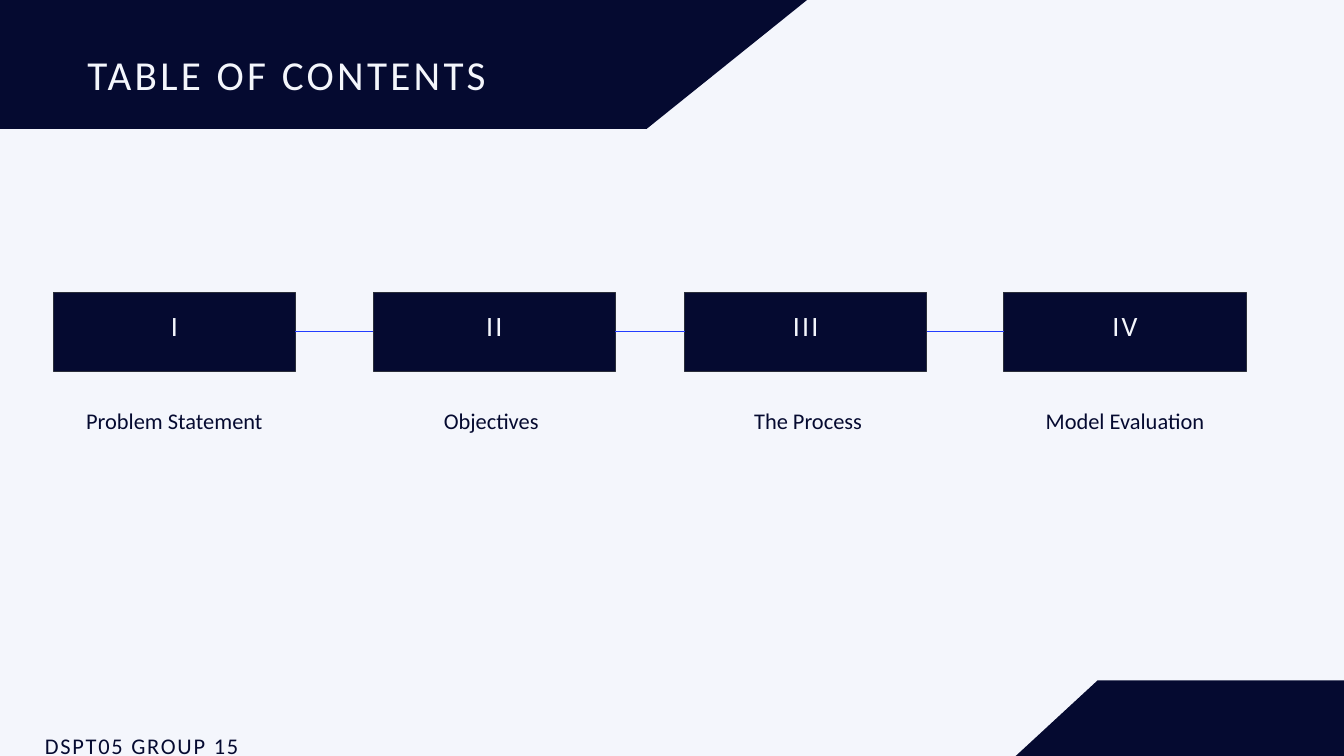
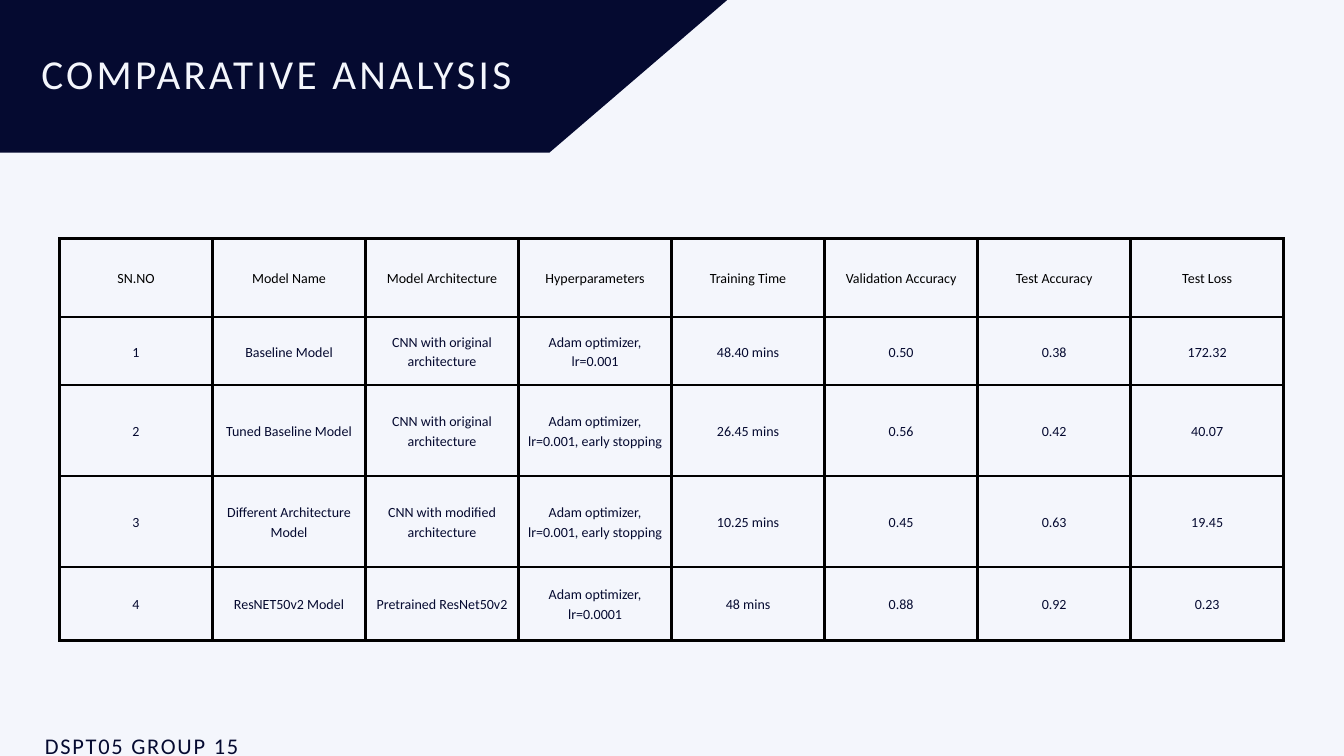
from lxml import etree
from pptx import Presentation
from pptx.dml.color import RGBColor
from pptx.enum.shapes import MSO_CONNECTOR, MSO_SHAPE
from pptx.enum.text import MSO_ANCHOR, MSO_AUTO_SIZE, PP_ALIGN
from pptx.oxml.ns import qn
from pptx.util import Emu, Pt

EMU_PER_PX = 9525
SLIDE_WIDTH, SLIDE_HEIGHT = 1920, 1080
TITLE_ONLY = 5
RIGHT_SIDE, LEFT_SIDE = 3, 1

LEFT, CENTER = PP_ALIGN.LEFT, PP_ALIGN.CENTER
TOP, MIDDLE = MSO_ANCHOR.TOP, MSO_ANCHOR.MIDDLE
NO_AUTOSIZE = MSO_AUTO_SIZE.NONE
RECTANGLE = MSO_SHAPE.RECTANGLE
STRAIGHT = MSO_CONNECTOR.STRAIGHT

NAVY = RGBColor(0x05, 0x0A, 0x30)
MIST = RGBColor(0xF4, 0xF6, 0xFC)
SLATE = RGBColor(0x2A, 0x2E, 0x3A)
BLUE = RGBColor(0x23, 0x3D, 0xFF)
BLACK = RGBColor(0, 0, 0)

FONT = "Calibri"
TITLE_STYLE = {"size": 44.1, "color": MIST, "line": 52.9, "spacing": 350}
NUMERAL_STYLE = {"size": 30, "color": MIST, "line": 42, "spacing": 240, "align": CENTER}
LABEL_STYLE = {"size": 24, "color": NAVY, "line": 33.6, "align": CENTER}
FOOTER_STYLE = {"size": 24, "color": NAVY, "line": 33.6, "spacing": 190}
HEADER_STYLE = {"size": 15, "color": BLACK, "line": 21, "align": CENTER}
CELL_STYLE = {**HEADER_STYLE, "color": NAVY}

FOOTER_TEXT = "DSPT05 GROUP 15"
STEPS = [
    ("I", "Problem Statement", 0),
    ("II", "Objectives", 457),
    ("III", "The Process", 902),
    ("IV", "Model Evaluation", 1358),
]
ROW_HEIGHTS = [112, 97, 130, 130, 105]
MODEL_ROWS = [
    ["SN.NO", "Model Name", "Model Architecture", "Hyperparameters",
     "Training Time", "Validation Accuracy", "Test Accuracy", "Test Loss"],
    ["1", "Baseline Model", "CNN with original architecture",
     "Adam optimizer, lr=0.001", "48.40 mins", "0.50", "0.38", "172.32"],
    ["2", "Tuned Baseline Model", "CNN with original architecture",
     "Adam optimizer, lr=0.001, early stopping", "26.45 mins", "0.56", "0.42", "40.07"],
    ["3", "Different Architecture Model", "CNN with modified architecture",
     "Adam optimizer, lr=0.001, early stopping", "10.25 mins", "0.45", "0.63", "19.45"],
    ["4", "ResNET50v2 Model", "Pretrained ResNet50v2",
     "Adam optimizer, lr=0.0001", "48 mins", "0.88", "0.92", "0.23"],
]


def px(length):
    """Turn a length in px into EMU."""
    return Emu(round(length * EMU_PER_PX))


def box_emu(*box):
    """Turn the four lengths of a box into EMU."""
    return [px(length) for length in box]


def set_attributes(target, values):
    """Set each named attribute of the target."""
    for name, value in values.items():
        setattr(target, name, value)


def write_text(frame, text, style):
    """Write one styled paragraph into a text frame."""
    frame.text = text
    paragraph = frame.paragraphs[0]
    set_attributes(paragraph, {
        "alignment": style.get("align", LEFT),
        "line_spacing": Pt(style["line"]),
    })
    run = paragraph.runs[0]
    set_attributes(run.font, {"name": FONT, "size": Pt(style["size"]), "bold": False})
    run.font.color.rgb = style["color"]
    if "spacing" in style:
        run._r.get_or_add_rPr().set("spc", str(style["spacing"]))


def format_frame(frame, anchor=TOP, margins=(0, 0, 0, 0)):
    """Set wrapping, anchor and margins (left, top, right, bottom) of a frame."""
    left, top, right, bottom = box_emu(*margins)
    set_attributes(frame, {
        "word_wrap": True, "auto_size": NO_AUTOSIZE, "vertical_anchor": anchor,
        "margin_left": left, "margin_top": top,
        "margin_right": right, "margin_bottom": bottom,
    })


def add_text(slide, box, text, style):
    """Add a text box without margins."""
    frame = slide.shapes.add_textbox(*box_emu(*box)).text_frame
    format_frame(frame)
    write_text(frame, text, style)


def add_polygon(slide, left, top, points):
    """Add a navy outline whose points are relative to left and top."""
    builder = slide.shapes.build_freeform(*points[0], scale=EMU_PER_PX)
    builder.add_line_segments(points[1:], close=True)
    shape = builder.convert_to_shape(px(left), px(top))
    shape.shadow.inherit = False
    shape.fill.solid()
    shape.fill.fore_color.rgb = NAVY
    shape.line.fill.background()
    return shape


def add_header(slide, title_box, text, top_width, bottom_width, height):
    """Place the slanted band behind the title."""
    band = add_polygon(slide, 0, 0, [
        (0, 0), (top_width, 0), (bottom_width, height), (0, height)])
    title = slide.shapes.title
    title.element.addprevious(band.element)
    left, top, width, title_height = box_emu(*title_box)
    set_attributes(title, {"left": left, "top": top, "width": width, "height": title_height})
    format_frame(title.text_frame)
    write_text(title.text_frame, text, TITLE_STYLE)


def add_footer(slide):
    """Add the group name at the bottom left."""
    add_text(slide, (64, 1039, 405, 41), FOOTER_TEXT, FOOTER_STYLE)


def add_corner(slide, left, top, width, height):
    """Add the slanted corner at the bottom right."""
    add_polygon(slide, left, top, [
        (117, 0), (width, 0), (width, height), (0, height)])


def add_step_box(slide, box, numeral):
    """Add one numbered box of the chain."""
    shape = slide.shapes.add_shape(RECTANGLE, *box_emu(*box))
    shape.shadow.inherit = False
    shape.fill.solid()
    shape.fill.fore_color.rgb = NAVY
    shape.line.color.rgb = SLATE
    shape.line.width = Pt(0.75)
    format_frame(shape.text_frame, MIDDLE, (6, 6, 6, 33))
    write_text(shape.text_frame, numeral, NUMERAL_STYLE)
    return shape


def join_steps(slide, first, second):
    """Draw a line from the right side of one box to the left of the next."""
    connector = slide.shapes.add_connector(STRAIGHT, 0, 0, 0, 0)
    connector.begin_connect(first, RIGHT_SIDE)
    connector.end_connect(second, LEFT_SIDE)
    connector.line.color.rgb = BLUE
    connector.line.width = Pt(0.75)
    etree.SubElement(connector.element.spPr, qn("a:effectLst"))


def add_steps(slide, left, top, width):
    """Place the chain of boxes with evenly spaced labels below."""
    box_width, box_height, label_drop = 346, 112, 157
    label_step = (width - box_width) / (len(STEPS) - 1)
    boxes = []
    for index, (numeral, label, offset) in enumerate(STEPS):
        boxes.append(add_step_box(
            slide, (left + offset, top, box_width, box_height), numeral))
        add_text(slide, (left + index * label_step, top + label_drop, box_width, 42),
                 label, LABEL_STYLE)
    for first, second in zip(boxes, boxes[1:]):
        join_steps(slide, first, second)


def add_borders(cell):
    """Give a cell 3 pt black borders on all sides."""
    properties = cell._tc.get_or_add_tcPr()
    for index, side in enumerate(("lnL", "lnR", "lnT", "lnB")):
        border = etree.Element(qn(f"a:{side}"), w=str(Pt(3)))
        fill = etree.SubElement(border, qn("a:solidFill"))
        etree.SubElement(fill, qn("a:srgbClr"), val=str(BLACK))
        properties.insert(index, border)


def format_cell(cell, text, style):
    """Fill, border and write one table cell."""
    margin = px(9)
    set_attributes(cell, {
        "vertical_anchor": MIDDLE, "margin_left": margin, "margin_top": margin,
        "margin_right": margin, "margin_bottom": margin,
    })
    cell.fill.solid()
    cell.fill.fore_color.rgb = MIST
    add_borders(cell)
    write_text(cell.text_frame, text, style)


def add_model_table(slide, left, top, width):
    """Place the table that compares the models."""
    column_count = len(MODEL_ROWS[0])
    table = slide.shapes.add_table(
        len(MODEL_ROWS), column_count,
        *box_emu(left, top, width, sum(ROW_HEIGHTS))).table
    set_attributes(table, {"first_row": False, "horz_banding": False})
    for column in table.columns:
        column.width = px(width / column_count)
    for row_index, texts in enumerate(MODEL_ROWS):
        table.rows[row_index].height = px(ROW_HEIGHTS[row_index])
        style = CELL_STYLE if row_index else HEADER_STYLE
        for column_index, text in enumerate(texts):
            format_cell(table.cell(row_index, column_index), text, style)


def add_contents_slide(presentation):
    """Build the table of contents."""
    slide = presentation.slides.add_slide(presentation.slide_layouts[TITLE_ONLY])
    add_header(slide, (125, 70, 1259, 70), "TABLE OF CONTENTS", 1153, 924, 184)
    add_steps(slide, 76, 418, 1704)
    add_corner(slide, 1451, 972, 469, 108)
    add_footer(slide)


def add_comparison_slide(presentation):
    """Build the comparison of models."""
    slide = presentation.slides.add_slide(presentation.slide_layouts[TITLE_ONLY])
    add_header(slide, (59, 69, 822, 70), "COMPARATIVE ANALYSIS", 1039, 785, 218)
    add_model_table(slide, 85, 341, 1749)
    add_footer(slide)


def main():
    """Build and save the presentation."""
    presentation = Presentation()
    presentation.slide_width = px(SLIDE_WIDTH)
    presentation.slide_height = px(SLIDE_HEIGHT)
    background = presentation.slide_master.background.fill
    background.solid()
    background.fore_color.rgb = MIST
    add_contents_slide(presentation)
    add_comparison_slide(presentation)
    presentation.save("out.pptx")


if __name__ == "__main__":
    main()
